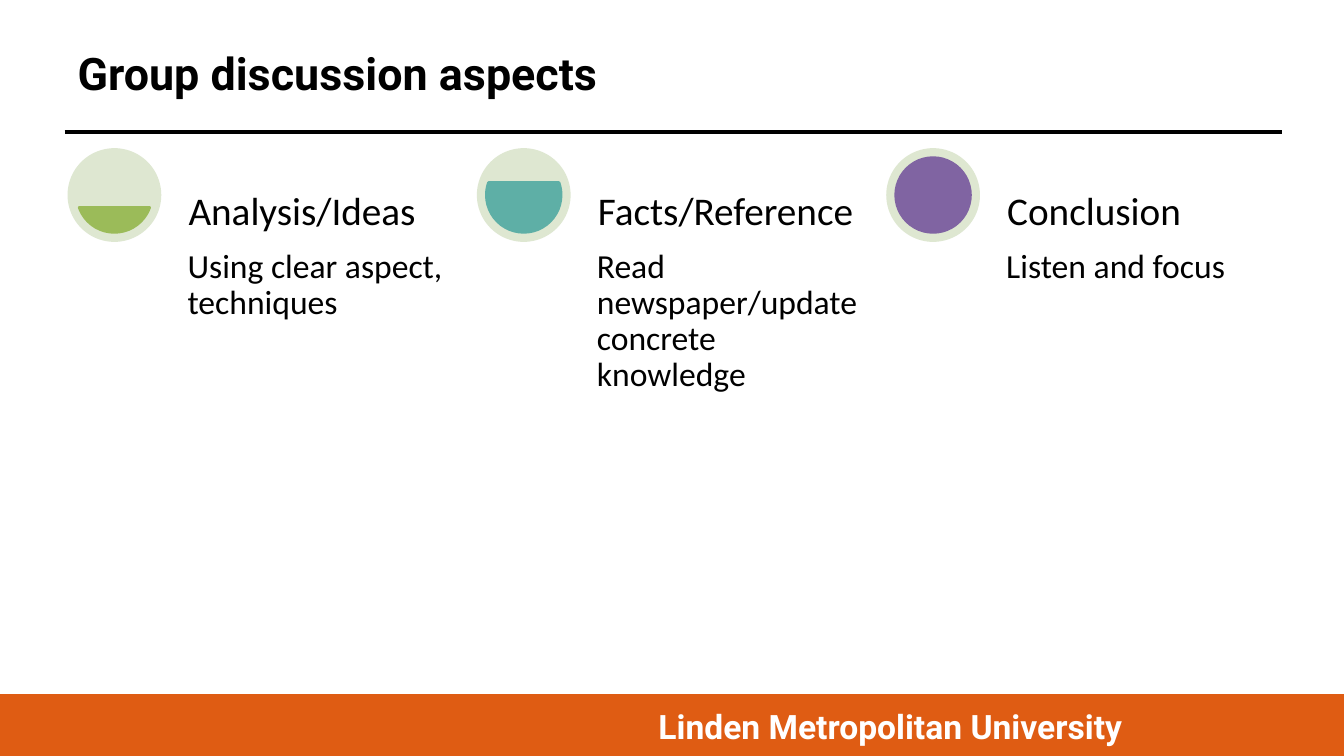
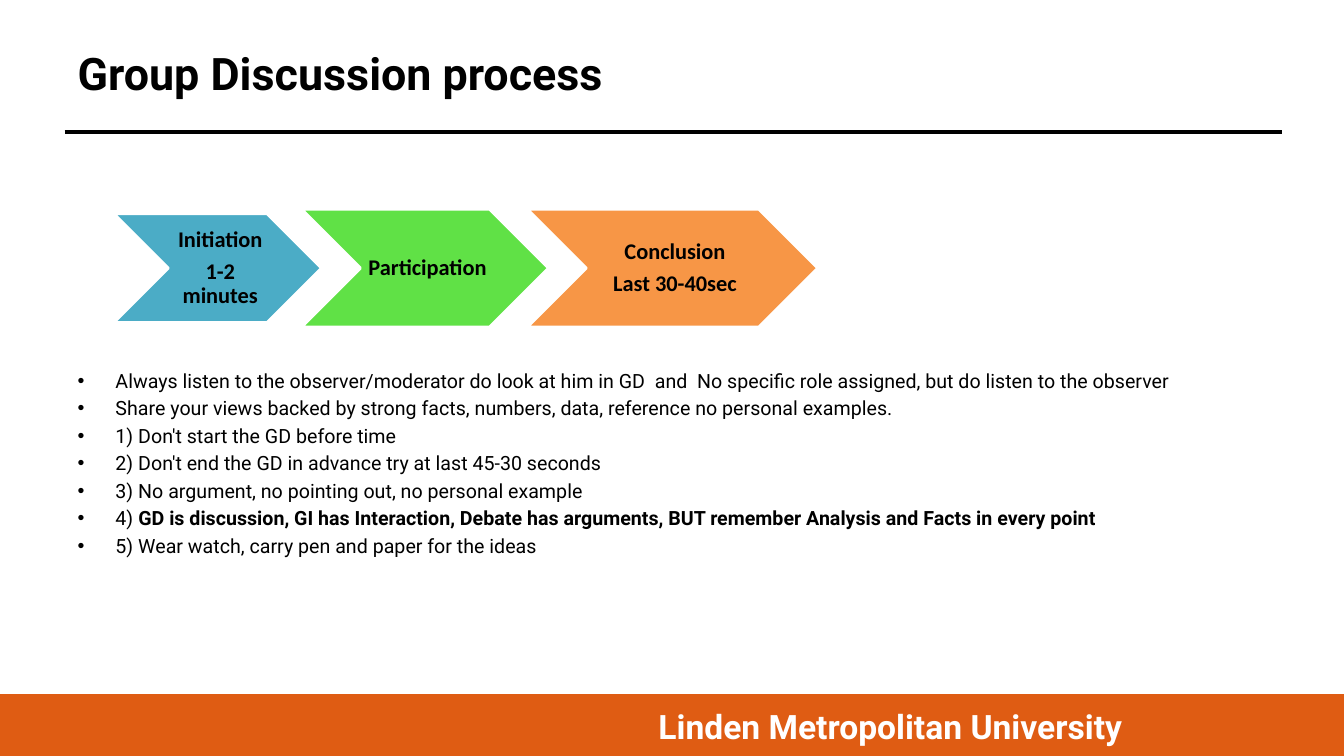
"""Build two slides on group discussion: its aspects and its process."""
import math

from lxml import etree
from pptx import Presentation
from pptx.dml.color import RGBColor
from pptx.enum.shapes import MSO_CONNECTOR, MSO_SHAPE
from pptx.enum.text import MSO_ANCHOR, MSO_AUTO_SIZE, PP_ALIGN
from pptx.oxml.ns import qn
from pptx.util import Inches, Pt

RECT, OVAL = MSO_SHAPE.RECTANGLE, MSO_SHAPE.OVAL
CHORD, CHEVRON = MSO_SHAPE.CHORD, MSO_SHAPE.CHEVRON
STRAIGHT = MSO_CONNECTOR.STRAIGHT
TOP, MIDDLE, BOTTOM = MSO_ANCHOR.TOP, MSO_ANCHOR.MIDDLE, MSO_ANCHOR.BOTTOM
LEFT, CENTER = PP_ALIGN.LEFT, PP_ALIGN.CENTER
FIXED = MSO_AUTO_SIZE.NONE

COLORS = {
    "text": "000000", "white": "FFFFFF", "band": "DF5C13", "dial": "DEE7D1",
    "green": "9BBB59", "teal": "5EAFA6", "purple": "8064A2",
    "blue": "4BACC6", "lime": "60E146", "orange": "F79646",
}
HEAD_FONT, BODY_FONT = "Roboto", "Calibri"
TITLE_ONLY, TITLE_AND_BODY = 5, 1
SLIDE_W, SLIDE_H = 13.33, 7.5
MARGIN = 0.67

FOOTER = "Linden Metropolitan University"
ASPECTS_TITLE = "Group discussion aspects"
ASPECTS = [
    ("Analysis/Ideas", "Using clear aspect, techniques", "green"),
    ("Facts/Reference", "Read newspaper/update concrete knowledge", "teal"),
    ("Conclusion", "Listen and focus", "purple"),
]
PROCESS_TITLE = "Group Discussion process"
STEPS = [
    (["Initiation", "1-2 minutes"], "blue", 1.13, 2.06, 1.08),
    (["Participation"], "lime", 2.99, 2.45, 1.17),
    (["Conclusion", "Last 30-40sec"], "orange", 5.23, 2.88, 1.17),
]
STEPS_MIDDLE = 2.66
RULES = [
    [("Always listen to the observer/moderator do look at him in GD  and  "
      "No specific role assigned, but do listen to the observer", False)],
    [("Share your views backed by strong facts, numbers, data, reference "
      "no personal examples.", False)],
    [("1) Don't start the GD before time", False)],
    [("2) Don't end the GD in advance try at last 45-30 seconds", False)],
    [("3) No argument, no pointing out, no personal example", False)],
    [("4) ", False),
     ("GD is discussion, GI has Interaction, Debate has arguments, "
      "BUT remember Analysis and Facts in every point", True)],
    [("5) Wear watch, carry pen and paper for the ideas", False)],
]


def rgb(name):
    return RGBColor.from_string(COLORS[name])


def box(x, y, w, h):
    return Inches(x), Inches(y), Inches(w), Inches(h)


def style_run(r, size, font=BODY_FONT, bold=False, color="text"):
    r.font.size, r.font.name, r.font.bold = Pt(size), font, bold
    r.font.color.rgb = rgb(color)


def set_margins(tf, left, other):
    tf.margin_left = Inches(left)
    tf.margin_top = tf.margin_right = tf.margin_bottom = Inches(other)


def add_shape(s, kind, at, fill, line=None):
    sp = s.shapes.add_shape(kind, *box(*at))
    sp.shadow.inherit = False
    sp.fill.solid()
    sp.fill.fore_color.rgb = rgb(fill)
    if line:
        sp.line.color.rgb = rgb(line)
        sp.line.width = Pt(2)
    else:
        sp.line.fill.background()
    return sp


def add_text(s, at, text, size, inset, anchor):
    tf = s.shapes.add_textbox(*box(*at)).text_frame
    tf.word_wrap = True
    tf.vertical_anchor = anchor
    set_margins(tf, inset, inset)
    tf.text = text
    p = tf.paragraphs[0]
    p.line_spacing = 0.9
    style_run(p.runs[0], size)


def add_slide(prs, layout, title):
    s = prs.slides.add_slide(prs.slide_layouts[layout])
    tf = s.shapes.title.text_frame
    tf.text = title
    tf.auto_size = FIXED
    tf.vertical_anchor = MIDDLE
    tf.paragraphs[0].alignment = LEFT
    style_run(tf.paragraphs[0].runs[0], 32, HEAD_FONT, True)
    return s


def furnish_master(prs, s):
    """Draw the title rule and footer band and move them to the master."""
    master = prs.slide_master
    title = master.placeholders[0]
    title.left, title.top, title.width, title.height = box(MARGIN, 0.3, 10.83, 0.85)
    rule = s.shapes.add_connector(
        STRAIGHT, Inches(0.64), Inches(1.31), Inches(12.72), Inches(1.31))
    rule.line.color.rgb = rgb("text")
    rule.line.width = Pt(3)
    etree.SubElement(rule.element.spPr, qn("a:effectLst"))
    band = add_shape(s, RECT, (0, 6.9, SLIDE_W, SLIDE_H - 6.9), "band", "band")
    tf = band.text_frame
    tf.text = FOOTER
    tf.vertical_anchor = MIDDLE
    tf.margin_left = Inches(4.43)
    tf.paragraphs[0].alignment = CENTER
    style_run(tf.paragraphs[0].runs[0], 24, HEAD_FONT, True, "white")
    for i, sp in enumerate((rule, band)):
        sp.element.xpath("./*/p:cNvPr")[0].set("id", str(100 + i))
        master.shapes.element.insert(2 + i, sp.element)


def add_aspects(s):
    dial, ring, pitch, top = 0.93, 0.095, 4.06, 1.47
    for i, (label, detail, color) in enumerate(ASPECTS):
        x = MARGIN + i * pitch
        add_shape(s, OVAL, (x, top, dial, dial), "dial")
        level = add_shape(
            s, CHORD, (x + ring, top + ring, dial - 2 * ring, dial - 2 * ring),
            color, color)
        share = (i + 1) / len(ASPECTS)
        angle = math.degrees(math.asin(1 - 2 * share))
        for n, degrees in enumerate((angle % 360, 180 - angle)):
            level.adjustments[n] = round(degrees * 0.6, 3)
        text_x = x + 1.12
        add_text(s, (text_x, top + dial, 2.75, 3.91), detail, 24, 0.07, TOP)
        add_text(s, (text_x, top, 2.75, dial), label, 28, 0.08, BOTTOM)


def add_steps(s):
    for lines, color, x, w, h in STEPS:
        sp = add_shape(s, CHEVRON, (x, STEPS_MIDDLE - h / 2, w, h), color, "white")
        tf = sp.text_frame
        tf.text = "\n".join(lines)
        tf.vertical_anchor = MIDDLE
        set_margins(tf, 0.07, 0.02)
        for p in tf.paragraphs:
            p.alignment = CENTER
            p.line_spacing = 0.9
            style_run(p.runs[0], 16, bold=True)
        for p in tf.paragraphs[:-1]:
            p.space_after = Pt(5.6)


def add_rules(s):
    body = s.placeholders[1]
    body.left, body.top, body.width, body.height = box(MARGIN, 3.61, 12, 3.09)
    tf = body.text_frame
    tf.auto_size = FIXED
    for i, parts in enumerate(RULES):
        p = tf.add_paragraph() if i else tf.paragraphs[0]
        for text, bold in parts:
            r = p.add_run()
            r.text = text
            style_run(r, 14, HEAD_FONT, bold)


def main():
    prs = Presentation()
    prs.slide_width, prs.slide_height = Inches(SLIDE_W), Inches(SLIDE_H)
    aspects = add_slide(prs, TITLE_ONLY, ASPECTS_TITLE)
    furnish_master(prs, aspects)
    add_aspects(aspects)
    process = add_slide(prs, TITLE_AND_BODY, PROCESS_TITLE)
    add_rules(process)
    add_steps(process)
    prs.save("out.pptx")


if __name__ == "__main__":
    main()
